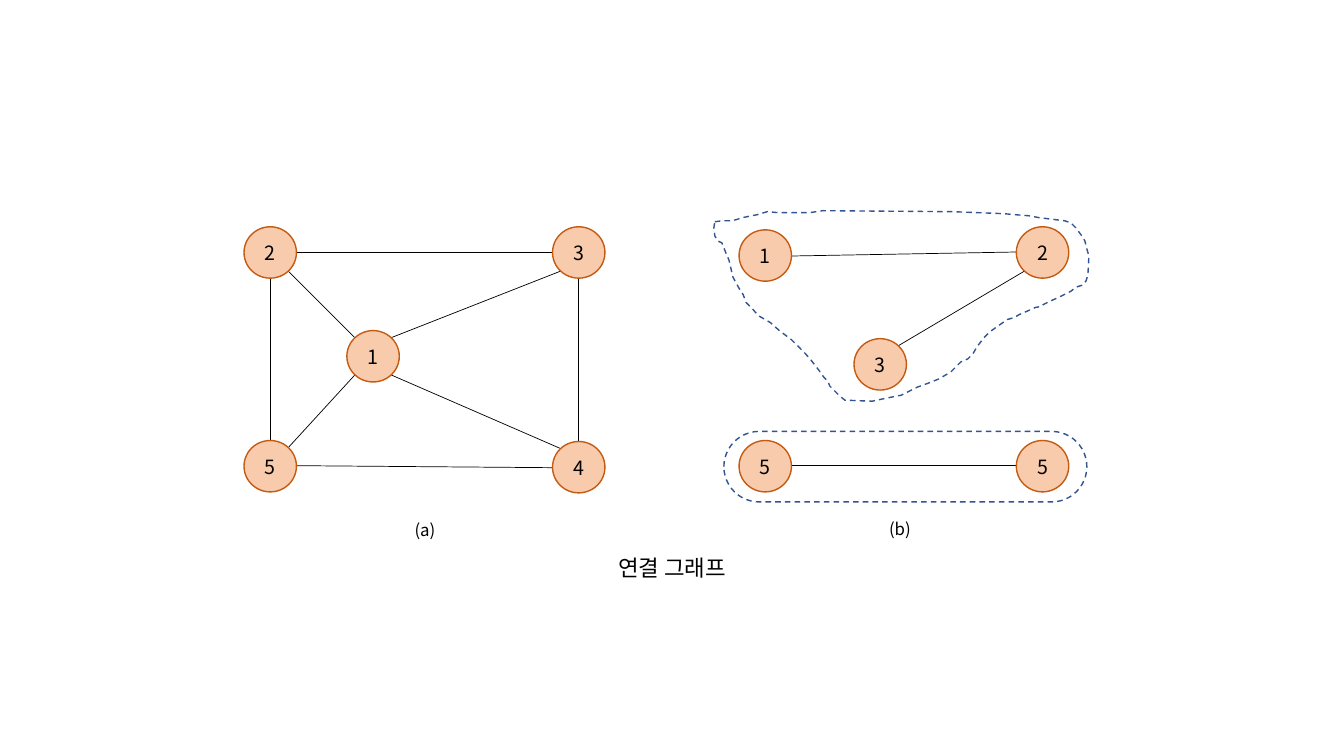
from dataclasses import dataclass
from math import cos, radians, sin

from lxml import etree
from pptx import Presentation
from pptx.dml.color import RGBColor
from pptx.enum.dml import MSO_LINE
from pptx.enum.shapes import MSO_CONNECTOR, MSO_SHAPE
from pptx.enum.text import MSO_ANCHOR, MSO_AUTO_SIZE, PP_ALIGN
from pptx.oxml.ns import qn
from pptx.util import Emu, Pt

ELLIPSE = MSO_SHAPE.OVAL
ROUNDED = MSO_SHAPE.ROUNDED_RECTANGLE
STRAIGHT = MSO_CONNECTOR.STRAIGHT
DASH = MSO_LINE.DASH
CENTER = PP_ALIGN.CENTER
MIDDLE = MSO_ANCHOR.MIDDLE
GROW = MSO_AUTO_SIZE.SHAPE_TO_FIT_TEXT

EMU_PER_PX = 9144  # 100 px to the inch
FONT = "Noto Sans CJK KR"
BLACK, PEACH, ORANGE, BLUE = "000000", "F8CBAD", "C55A11", "325491"
NODE_WIDTH, NODE_HEIGHT = 52, 51
ANGLES = {"E": 0, "SE": 45, "S": 90, "SW": 135, "W": 180, "NW": 225, "N": 270, "NE": 315}


@dataclass(frozen=True)
class Node:
    label: str
    left: int
    top: int

    def site(self, direction: str) -> tuple[int, int]:
        """Point on the node's rim in a compass direction."""
        angle = radians(ANGLES[direction])
        return (round(self.left + NODE_WIDTH / 2 * (1 + cos(angle))),
                round(self.top + NODE_HEIGHT / 2 * (1 + sin(angle))))


@dataclass(frozen=True)
class Edge:
    start: Node
    start_side: str
    end: Node
    end_side: str


@dataclass(frozen=True)
class Caption:
    text: str
    left: int
    top: int
    height: int
    size: int


A1 = Node("1", 344, 328)
A2 = Node("2", 242, 225)
A3 = Node("3", 548, 225)
A4 = Node("4", 548, 438)
A5 = Node("5", 242, 437)
B1 = Node("1", 733, 228)
B2 = Node("2", 1008, 225)
B3 = Node("3", 847, 336)
B5_LEFT = Node("5", 733, 437)
B5_RIGHT = Node("5", 1008, 437)
NODES = [A1, A2, A3, A4, A5, B1, B2, B3, B5_LEFT, B5_RIGHT]

EDGES = [
    Edge(A1, "NW", A2, "SE"),
    Edge(A1, "SW", A5, "NE"),
    Edge(A3, "SW", A1, "NE"),
    Edge(A4, "NW", A1, "SE"),
    Edge(A3, "W", A2, "E"),
    Edge(A5, "E", A4, "W"),
    Edge(A3, "S", A4, "N"),
    Edge(A2, "S", A5, "N"),
    Edge(B1, "E", B2, "W"),
    Edge(B3, "NE", B2, "SW"),
    Edge(B5_LEFT, "E", B5_RIGHT, "W"),
]

CAPTION_WIDTH = 331
CAPTIONS = [
    Caption("(a)", 256, 511, 30, 12),
    Caption("(b)", 727, 510, 30, 12),
    Caption("연결 그래프", 501, 545, 37, 16),
]

COMPONENT_OUTLINE = [
    (709, 220), (716, 219), (725, 219), (730, 218), (736, 216), (751, 213), (761, 210),
    (772, 211), (803, 211), (816, 209), (945, 210), (996, 212), (1007, 213), (1020, 214),
    (1031, 216), (1056, 219), (1062, 221), (1067, 226), (1073, 234), (1076, 239),
    (1078, 247), (1080, 254), (1079, 273), (1077, 279), (1073, 283), (1067, 285),
    (1062, 289), (1050, 295), (1041, 299), (1035, 302), (1033, 304), (1027, 305),
    (1018, 309), (1011, 312), (1006, 315), (999, 317), (989, 324), (982, 329),
    (976, 335), (969, 344), (965, 351), (960, 356), (953, 359), (948, 364), (943, 369),
    (931, 376), (921, 380), (910, 384), (902, 388), (894, 392), (879, 395), (865, 398),
    (838, 397), (833, 393), (828, 388), (823, 383), (821, 378), (817, 374), (812, 367),
    (805, 358), (799, 351), (791, 343), (785, 337), (773, 328), (764, 320), (752, 313),
    (746, 306), (740, 300), (737, 292), (733, 286), (727, 275), (723, 258), (720, 251),
    (716, 241), (712, 239), (709, 234), (708, 226),
]


def px(length: int) -> Emu:
    return Emu(length * EMU_PER_PX)


def rgb(color: str) -> RGBColor:
    return RGBColor.from_string(color)


def write(frame, text: str, size: int) -> None:
    paragraph = frame.paragraphs[0]
    paragraph.alignment = CENTER
    run = paragraph.add_run()
    run.text = text
    run.font.size = Pt(size)
    run.font.color.rgb = rgb(BLACK)
    run.font.name = FONT
    properties = run.font._element
    etree.SubElement(properties, qn("a:ea")).set("typeface", FONT)


def draw_edge(slide, edge: Edge) -> None:
    start = map(px, edge.start.site(edge.start_side))
    end = map(px, edge.end.site(edge.end_side))
    connector = slide.shapes.add_connector(STRAIGHT, *start, *end)
    connector.line.color.rgb = rgb(BLACK)
    connector.line.width = Pt(0.5)
    etree.SubElement(connector._element.spPr, qn("a:effectLst"))


def draw_node(slide, node: Node) -> None:
    shape = slide.shapes.add_shape(
        ELLIPSE, px(node.left), px(node.top), px(NODE_WIDTH), px(NODE_HEIGHT))
    shape.shadow.inherit = False
    shape.fill.solid()
    shape.fill.fore_color.rgb = rgb(PEACH)
    shape.line.color.rgb = rgb(ORANGE)
    shape.line.width = Pt(1)
    shape.text_frame.vertical_anchor = MIDDLE
    write(shape.text_frame, node.label, 14)


def draw_caption(slide, caption: Caption) -> None:
    box = slide.shapes.add_textbox(
        px(caption.left), px(caption.top), px(CAPTION_WIDTH), px(caption.height))
    box.text_frame.word_wrap = True
    box.text_frame.auto_size = GROW
    write(box.text_frame, caption.text, caption.size)


def make_dashed(shape) -> None:
    shape.shadow.inherit = False
    shape.fill.background()
    shape.line.color.rgb = rgb(BLUE)
    shape.line.width = Pt(1)
    shape.line.dash_style = DASH


def draw_components(slide) -> None:
    """Dashed outlines around the two connected components of graph (b)."""
    first, *rest = COMPONENT_OUTLINE
    builder = slide.shapes.build_freeform(*first, scale=EMU_PER_PX)
    builder.add_line_segments(rest, close=True)
    make_dashed(builder.convert_to_shape())

    capsule = slide.shapes.add_shape(ROUNDED, px(718), px(428), px(360), px(70))
    capsule.adjustments[0] = 0.5
    make_dashed(capsule)


def main() -> None:
    presentation = Presentation()
    presentation.slide_width = px(1333)
    presentation.slide_height = px(750)
    slide = presentation.slides.add_slide(presentation.slide_layouts[6])
    for edge in EDGES:
        draw_edge(slide, edge)
    for node in NODES:
        draw_node(slide, node)
    for caption in CAPTIONS:
        draw_caption(slide, caption)
    draw_components(slide)
    presentation.save("out.pptx")


if __name__ == "__main__":
    main()
